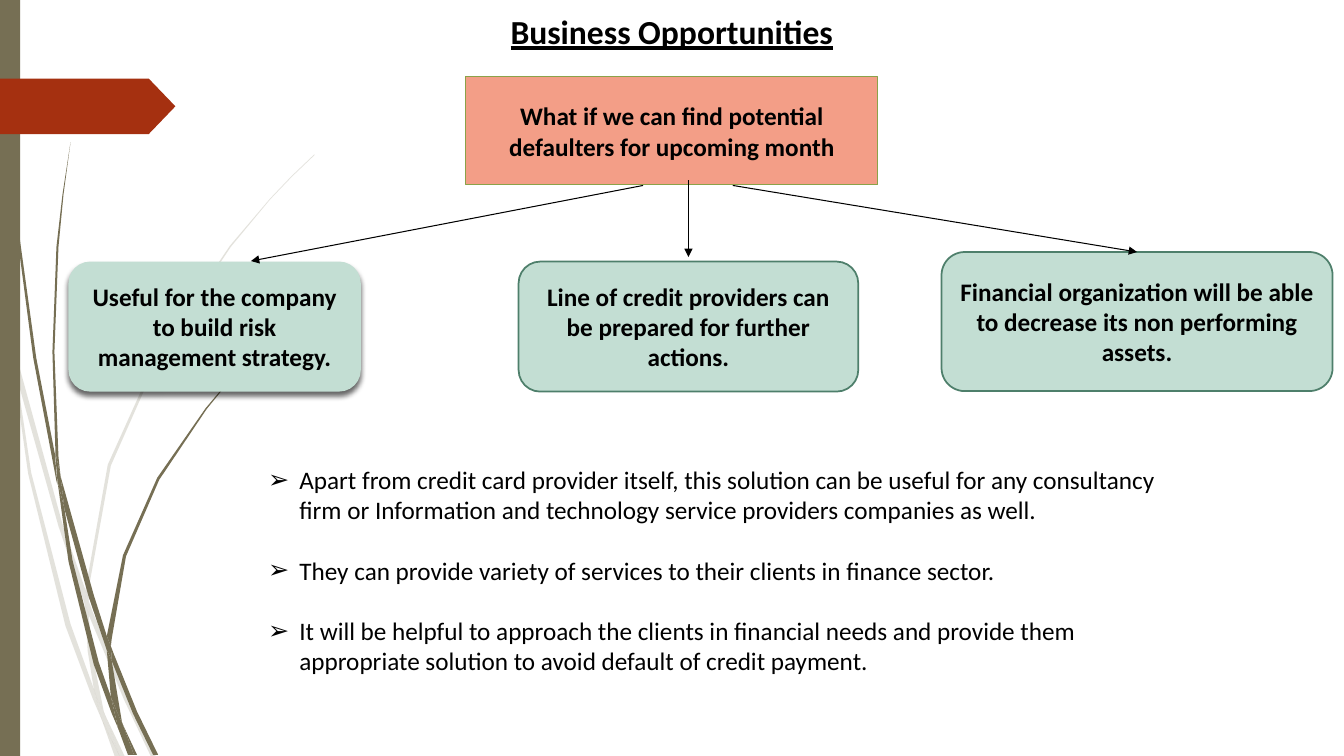
from dataclasses import dataclass

from lxml import etree
from pptx import Presentation
from pptx.dml.color import RGBColor
from pptx.enum.shapes import MSO_CONNECTOR, MSO_SHAPE
from pptx.enum.text import MSO_ANCHOR, MSO_AUTO_SIZE, PP_ALIGN
from pptx.oxml.ns import qn
from pptx.util import Inches, Pt

RECTANGLE, ROUNDED = MSO_SHAPE.RECTANGLE, MSO_SHAPE.ROUNDED_RECTANGLE
PENTAGON, STRAIGHT = MSO_SHAPE.PENTAGON, MSO_CONNECTOR.STRAIGHT
CENTER, LEFT = PP_ALIGN.CENTER, PP_ALIGN.LEFT
TOP, MIDDLE = MSO_ANCHOR.TOP, MSO_ANCHOR.MIDDLE

FONT = "Calibri"
BLACK, OLIVE, RUST = "000000", "766F54", "A53010"
SALMON, GREEN, MINT, TEAL = "F39E87", "8BA249", "C3DED3", "4E7F6B"
COLUMNS, ROWS = 133.33, 75  # grid cells of a tenth of an inch
PALE_OPACITY = 20


@dataclass
class Box:
    text: str
    place: tuple  # left, top, width, height in grid cells
    fill: str
    line: str | None = None
    line_width: float = 1.25
    kind: MSO_SHAPE = ROUNDED


@dataclass
class Arrow:
    start: tuple
    end: tuple


TITLE = "Business Opportunities"
BOXES = [
    Box("What if we can find potential defaulters for upcoming month",
        (46.2, 7.6, 40.9, 10.75), SALMON, GREEN, 0.75, RECTANGLE),
    Box("Useful for the company to build risk management strategy.",
        (6.8, 25.95, 29, 12.9), MINT),
    Box("Line of credit providers can be prepared for further actions.",
        (51.45, 25.95, 33.7, 12.9), MINT, TEAL),
    Box("Financial organization will be able to decrease its non performing assets.",
        (93.4, 25, 38.8, 13.8), MINT, TEAL),
]
ARROWS = [
    Arrow((63.8, 18.4), (24.9, 25.9)),
    Arrow((68.3, 17.9), (68.3, 25.5)),
    Arrow((72.7, 18.4), (112.8, 25)),
]
BENEFITS = [
    "Apart from credit card provider itself, this solution can be useful for any "
    "consultancy firm or Information and technology service providers companies as well.",
    "They can provide variety of services to their clients in finance sector.",
    "It will be helpful to approach the clients in financial needs and provide them "
    "appropriate solution to avoid default of credit payment.",
]
# Outlines of the grass blades, each a list of (column, row) corners
PALE_BLADES = [
    [(1.1, 35), (0.9, 32.2), (0, 28.2), (0, 29.9), (1, 34.4)],
    [(5.8, 52.2), (8.4, 59.9), (8.5, 58.6), (6.2, 52), (1.4, 34.5), (1.7, 37.6)],
    [(9.2, 60.7), (8.8, 59.6), (8.8, 61), (12.3, 69.4), (15, 75.1), (15.5, 75.1),
     (12.7, 69.2)],
    [(11.9, 75.1), (12.4, 75.1), (10.5, 71.1)],
    [(9.3, 68.3), (7, 61.9), (3.1, 46.9), (1.7, 37.6), (1.1, 35), (2.8, 47), (6.5, 62.1),
     (9.2, 69.3), (10.1, 71.4), (9.9, 70.7)],
    [(8.4, 59.9), (8.7, 64.6), (9.3, 68.3), (9.6, 69.2), (10.5, 71.1), (10.3, 70.6),
     (9.1, 64.6), (8.8, 61), (8.8, 60.8)],
    [(8.8, 58.4), (11, 46.2), (16, 34.9), (22.9, 24.5), (26.8, 19.8), (29, 17.5),
     (31.2, 15.4), (31.2, 15.3), (28.9, 17.5), (26.8, 19.7), (22.8, 24.4), (15.8, 34.8),
     (10.7, 46.1), (8.5, 58.4), (8.5, 58.6), (8.8, 59.6)],
    [(10.1, 71.4), (11.4, 75.1), (11.9, 75.1)],
    [(8.8, 60.8), (8.8, 61), (8.8, 59.6), (8.5, 58.6), (8.4, 59.9)],
    [(9.6, 69.2), (9.3, 68.3), (9.9, 70.7), (10.1, 71.4), (11.9, 75.1), (10.5, 71.1)],
]
DARK_BLADES = [
    [(0.7, 11), (1.7, 23.3), (3.3, 35.5), (5.6, 47.7), (5.7, 48.1), (5.5, 45.7),
     (5.5, 45.3), (3.6, 35.5), (1.9, 23.2), (0.8, 10.9), (0.5, 4.8), (0.4, 0), (0.3, 0),
     (0.4, 4.8)],
    [(8.8, 59.2), (10.6, 64.5), (10.6, 63.1), (9.3, 59), (6, 47.2), (6.4, 50.5)],
    [(11.3, 64.9), (11, 64.1), (11.1, 65.6), (13.2, 70.8), (15.2, 74.9), (15.7, 74.9),
     (13.6, 70.6)],
    [(11, 69.1), (9.8, 65.7), (7.2, 55.6), (6.4, 50.5), (5.7, 47.7), (6.8, 55.7),
     (9.3, 65.9), (11.1, 70.8), (11.7, 72.2), (11.6, 71.7)],
    [(6, 47.2), (5.8, 45.3), (5.4, 34.9), (5.8, 24.5), (6.3, 19.3), (7, 14.1),
     (6.2, 19.3), (5.6, 24.5), (5.2, 34.9), (5.5, 44.9)],
    [(13.3, 74.9), (13.6, 74.9), (12.2, 71.9)],
    [(5.7, 47.7), (6.4, 50.5), (6, 47.2), (5.5, 44.9), (5.5, 45.3)],
    [(11.1, 63.3), (12.5, 55.2), (15.8, 47.6), (20.5, 40.6), (23.1, 37.4), (24.5, 35.9),
     (26.1, 34.4), (26, 34.4), (24.5, 35.8), (23.1, 37.3), (20.4, 40.5), (15.6, 47.4),
     (12.2, 55.1), (10.6, 63.1), (11, 64.1)],
    [(11.7, 72.2), (12.7, 74.9), (13.1, 74.9)],
    [(10.6, 64.5), (11, 69.1), (11.6, 70.6), (12.2, 71.9), (12.1, 71.6), (11.1, 65.6),
     (10.9, 65.1)],
    [(10.6, 64.5), (10.9, 65.1), (11.1, 65.6), (11, 64.1), (10.6, 63.1)],
    [(11.6, 70.6), (11, 69.1), (11.6, 71.7), (11.7, 72.2), (13, 74.9), (13.3, 74.9),
     (12.2, 71.9)],
]


def cells(count: float) -> int:
    return Inches(count / 10)


def rgb(color: str) -> RGBColor:
    return RGBColor.from_string(color)


def add_xml(parent, tag: str, **attributes):
    return etree.SubElement(parent, qn(tag), attributes)


def place_shape(shape, left, top, width, height) -> None:
    shape.left, shape.top = cells(left), cells(top)
    shape.width, shape.height = cells(width), cells(height)


def paint(shape, fill: str, line: str | None = None, line_width: float = 0) -> None:
    shape.shadow.inherit = False
    shape.fill.solid()
    shape.fill.fore_color.rgb = rgb(fill)
    if line:
        shape.line.color.rgb = rgb(line)
        shape.line.width = Pt(line_width)
    else:
        shape.line.fill.background()


def format_text(text_frame, size: int, align, anchor, bold=False, underline=False) -> None:
    text_frame.word_wrap = True
    text_frame.auto_size = MSO_AUTO_SIZE.NONE
    text_frame.vertical_anchor = anchor
    for paragraph in text_frame.paragraphs:
        paragraph.alignment = align
        paragraph.space_before = Pt(0)
        for run in paragraph.runs:
            font = run.font
            font.name, font.size = FONT, Pt(size)
            font.bold, font.underline = bold, underline
            font.color.rgb = rgb(BLACK)


def add_blade(slide, outline: list, opacity: int = 100) -> None:
    corners = [(cells(column), cells(row)) for column, row in outline]
    builder = slide.shapes.build_freeform(*corners[0])
    builder.add_line_segments(corners[1:], close=True)
    shape = builder.convert_to_shape()
    paint(shape, OLIVE)
    if opacity < 100:
        color = shape.element.spPr.find(qn("a:solidFill")).find(qn("a:srgbClr"))
        add_xml(color, "a:alpha", val=str(opacity * 1000))


def add_plain_shape(slide, kind, place: tuple, fill: str):
    shape = slide.shapes.add_shape(kind, *map(cells, place))
    paint(shape, fill)
    return shape


def add_box(slide, box: Box) -> None:
    shape = add_plain_shape(slide, box.kind, box.place, box.fill)
    paint(shape, box.fill, box.line, box.line_width)
    shape.text_frame.text = box.text
    format_text(shape.text_frame, 18, CENTER, MIDDLE, bold=True)
    if not box.line:
        effects = shape.element.spPr.find(qn("a:effectLst"))
        shadow = add_xml(effects, "a:outerShdw", blurRad=str(Pt(4)), dist=str(Pt(3)),
                         dir="5400000", rotWithShape="0")
        add_xml(add_xml(shadow, "a:srgbClr", val=BLACK), "a:alpha", val="60000")


def add_arrow(slide, arrow: Arrow) -> None:
    connector = slide.shapes.add_connector(STRAIGHT, *map(cells, arrow.start + arrow.end))
    connector.line.color.rgb = rgb(BLACK)
    connector.line.width = Pt(0.75)
    properties = connector.element.spPr
    add_xml(properties.find(qn("a:ln")), "a:tailEnd", type="triangle")
    add_xml(properties, "a:effectLst")


def fill_benefits(body) -> None:
    place_shape(body, 25.6, 45.55, 90.8, 22.2)
    body.text_frame.text = "\n".join(BENEFITS)
    format_text(body.text_frame, 18, LEFT, TOP)
    for paragraph in body.text_frame.paragraphs:
        paragraph.space_after = Pt(21.6)
        properties = paragraph._p.get_or_add_pPr()
        properties.set("marL", str(cells(3.1)))
        properties.set("indent", str(-cells(3.1)))
        add_xml(properties, "a:buChar", char="➢")


def main() -> None:
    presentation = Presentation()
    presentation.slide_width, presentation.slide_height = cells(COLUMNS), cells(ROWS)
    slide = presentation.slides.add_slide(presentation.slide_layouts[1])
    title, body = slide.placeholders
    for outline in PALE_BLADES:
        add_blade(slide, outline, PALE_OPACITY)
    for outline in DARK_BLADES:
        add_blade(slide, outline)
    add_plain_shape(slide, RECTANGLE, (0, 0, 2, ROWS), OLIVE)
    add_plain_shape(slide, PENTAGON, (0, 7.8, 17.4, 5.5), RUST).adjustments[0] = 0.48
    place_shape(title, 28.95, 0.6, 75.4, 5)
    title.text_frame.text = TITLE
    format_text(title.text_frame, 24, CENTER, TOP, bold=True, underline=True)
    for box in BOXES:
        add_box(slide, box)
    for arrow in ARROWS:
        add_arrow(slide, arrow)
    fill_benefits(body)
    presentation.save("out.pptx")


if __name__ == "__main__":
    main()
